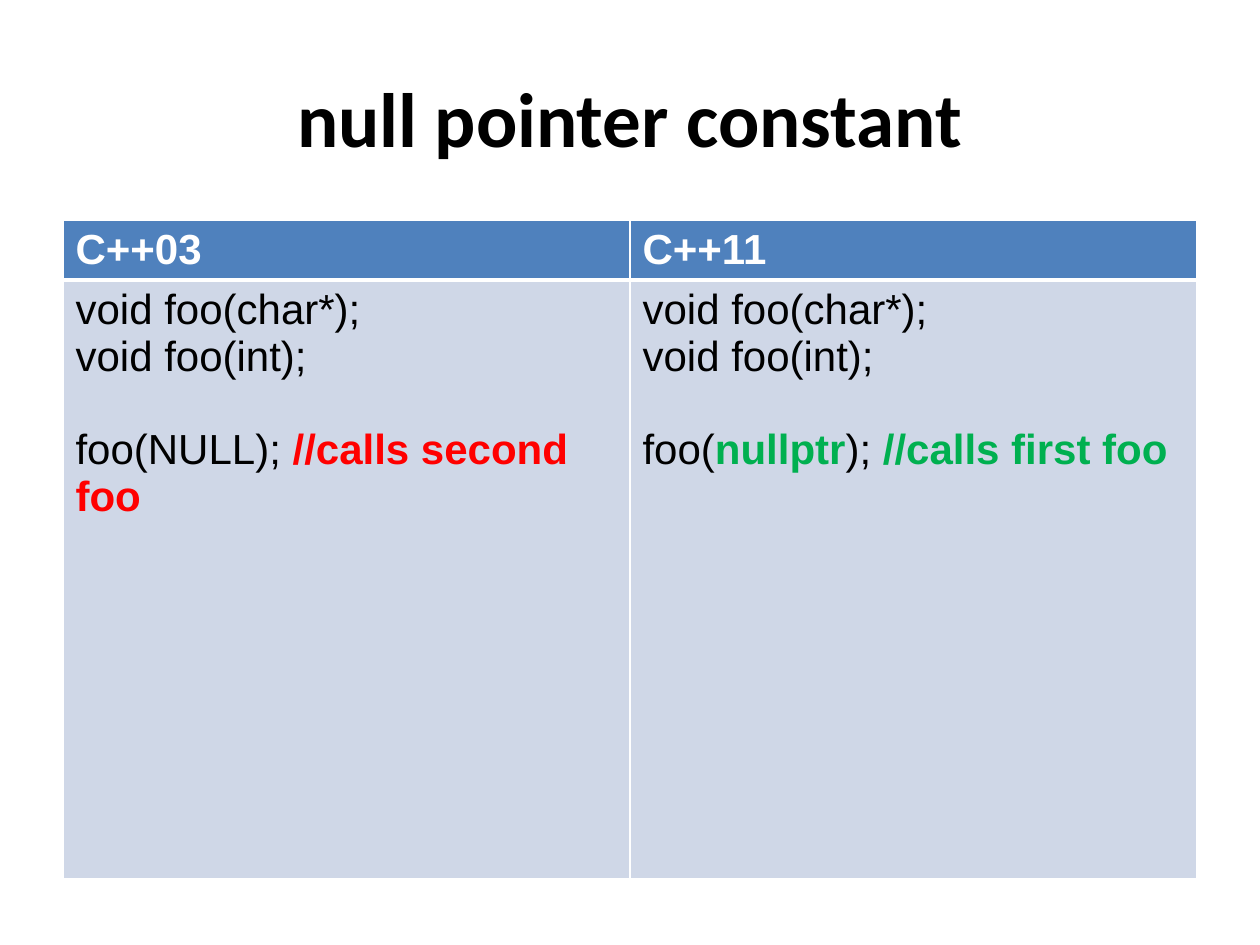
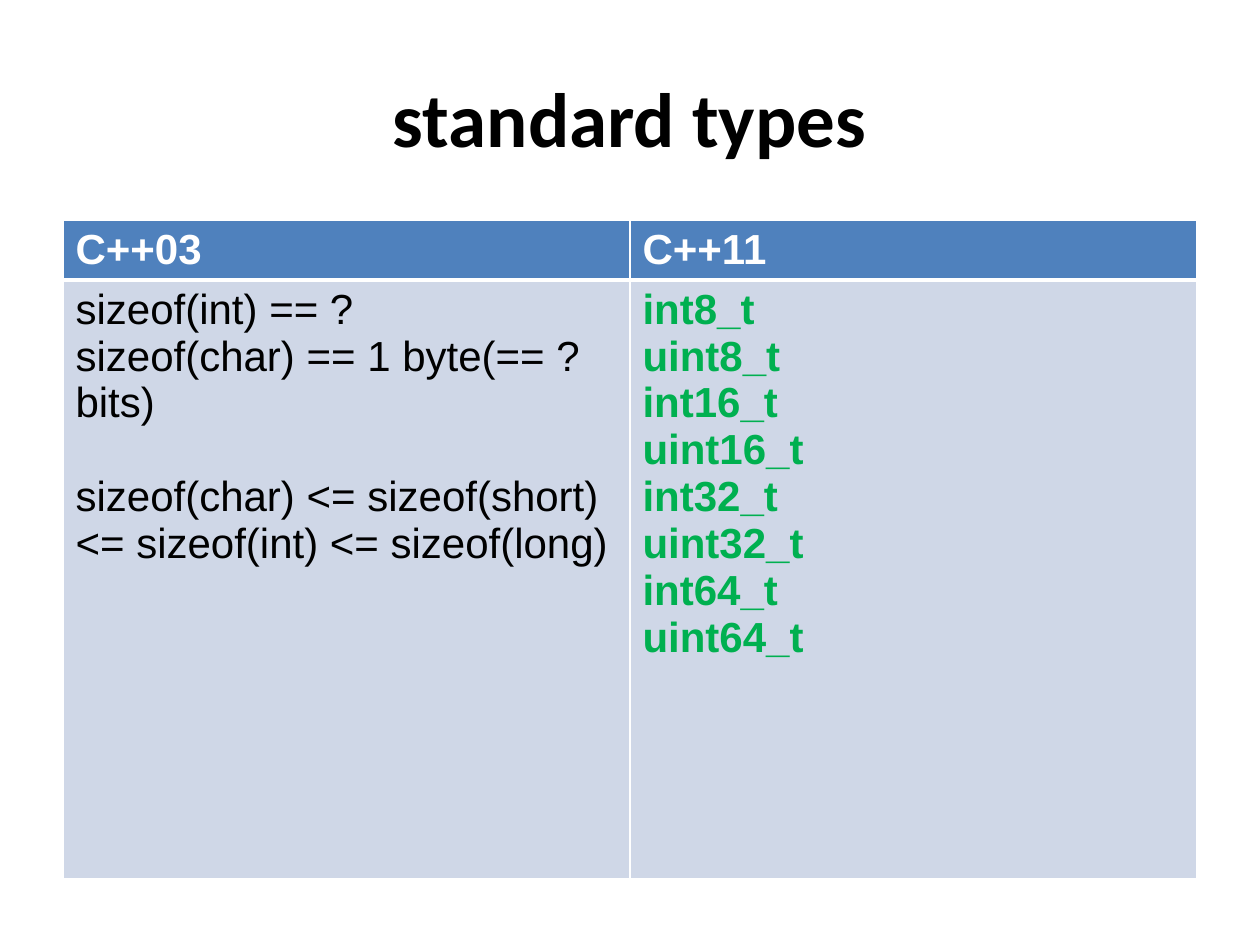
from lxml import etree
from pptx import Presentation
from pptx.dml.color import RGBColor
from pptx.enum import text
from pptx.oxml import ns
from pptx.util import Inches, Pt

BLACK = RGBColor(0x00, 0x00, 0x00)
WHITE = RGBColor(0xFF, 0xFF, 0xFF)
RED = RGBColor(0xFF, 0x00, 0x00)
GREEN = RGBColor(0x00, 0xB0, 0x50)
HEADER_BLUE = RGBColor(0x4F, 0x81, 0xBD)
BODY_BLUE = RGBColor(0xCF, 0xD7, 0xE7)

LEFT, WIDTH = 0.5, 9
HEADERS = ("C++03", "C++11")
ROW_HEIGHTS = (0.47, 4.75)
CODE_SIZE = 24
LINE_GAP = 26.8  # height of one line of code, in points
GAP = None  # marks a one-line gap before the next line of code


def add_text(p, content, size=CODE_SIZE, font="Arial", color=BLACK, bold=False):
    r = p.add_run()
    r.text = content
    r.font.size = Pt(size)
    r.font.name = font
    r.font.bold = bold
    r.font.color.rgb = color


def add_title(s, content):
    sp = s.shapes.title
    sp.left, sp.top = Inches(LEFT), Inches(0.3)
    sp.width, sp.height = Inches(WIDTH), Inches(1.25)
    tf = sp.text_frame
    tf.vertical_anchor = text.MSO_ANCHOR.MIDDLE
    p = tf.paragraphs[0]
    p.alignment = text.PP_ALIGN.CENTER
    add_text(p, content, size=44, font="Calibri", bold=True)


def set_borders(cell, **widths):
    """Draw white borders; widths in points by side: L, R, T, B."""
    tc_pr = cell._tc.get_or_add_tcPr()
    for side in "LRTB":
        ln = etree.SubElement(tc_pr, ns.qn(f"a:ln{side}"),
                              w=str(Pt(widths.get(side, 1))))
        fill = etree.SubElement(ln, ns.qn("a:solidFill"))
        etree.SubElement(fill, ns.qn("a:srgbClr"), val=str(WHITE))


def fill_code(cell, lines):
    """Write lines of code; a line is a list of (text, colour) runs."""
    tf = cell.text_frame
    p = tf.paragraphs[0]
    gap = False
    for i, line in enumerate(lines):
        if line is GAP:
            gap = True
            continue
        if i:
            p = tf.add_paragraph()
        if gap:
            p.space_before = Pt(LINE_GAP)
            gap = False
        for content, color in line:
            add_text(p, content, color=color, bold=color != BLACK)


def add_comparison(s, old_code, new_code):
    table = s.shapes.add_table(2, 2, Inches(LEFT), Inches(1.75), Inches(WIDTH),
                               Inches(sum(ROW_HEIGHTS))).table
    for row, height in zip(table.rows, ROW_HEIGHTS):
        row.height = Inches(height)
    for col, (header, code) in enumerate(zip(HEADERS, (old_code, new_code))):
        table.columns[col].width = Inches(WIDTH / 2)
        head, body = table.cell(0, col), table.cell(1, col)
        # Borders come before the fill in the cell properties
        set_borders(head, B=3)
        set_borders(body, T=3)
        for cell, color in ((head, HEADER_BLUE), (body, BODY_BLUE)):
            cell.fill.solid()
            cell.fill.fore_color.rgb = color
        add_text(head.text_frame.paragraphs[0], header, color=WHITE, bold=True)
        fill_code(body, code)


def add_slide(prs, title, old_code, new_code):
    s = prs.slides.add_slide(prs.slide_layouts[5])
    add_title(s, title)
    add_comparison(s, old_code, new_code)


def main():
    prs = Presentation()
    prs.slide_width, prs.slide_height = Inches(10), Inches(7.5)

    # Null pointer constant
    overloads = [[("void foo(char*);", BLACK)], [("void foo(int);", BLACK)], GAP]
    add_slide(
        prs, "null pointer constant",
        overloads + [[("foo(NULL); ", BLACK), ("//calls second foo", RED)]],
        overloads + [[("foo(", BLACK), ("nullptr", GREEN), ("); ", BLACK),
                      ("//calls first foo", GREEN)]])

    # Standard types
    sizes = [[("sizeof(int) == ?", BLACK)],
             [("sizeof(char) == 1 byte(== ? bits)", BLACK)],
             GAP,
             [("sizeof(char) <= sizeof(short) <= sizeof(int) <= sizeof(long)",
               BLACK)]]
    fixed_types = [[(f"{sign}int{bits}_t", GREEN)]
                   for bits in (8, 16, 32, 64) for sign in ("", "u")]
    add_slide(prs, "standard types", sizes, fixed_types)

    prs.save("out.pptx")


if __name__ == "__main__":
    main()
